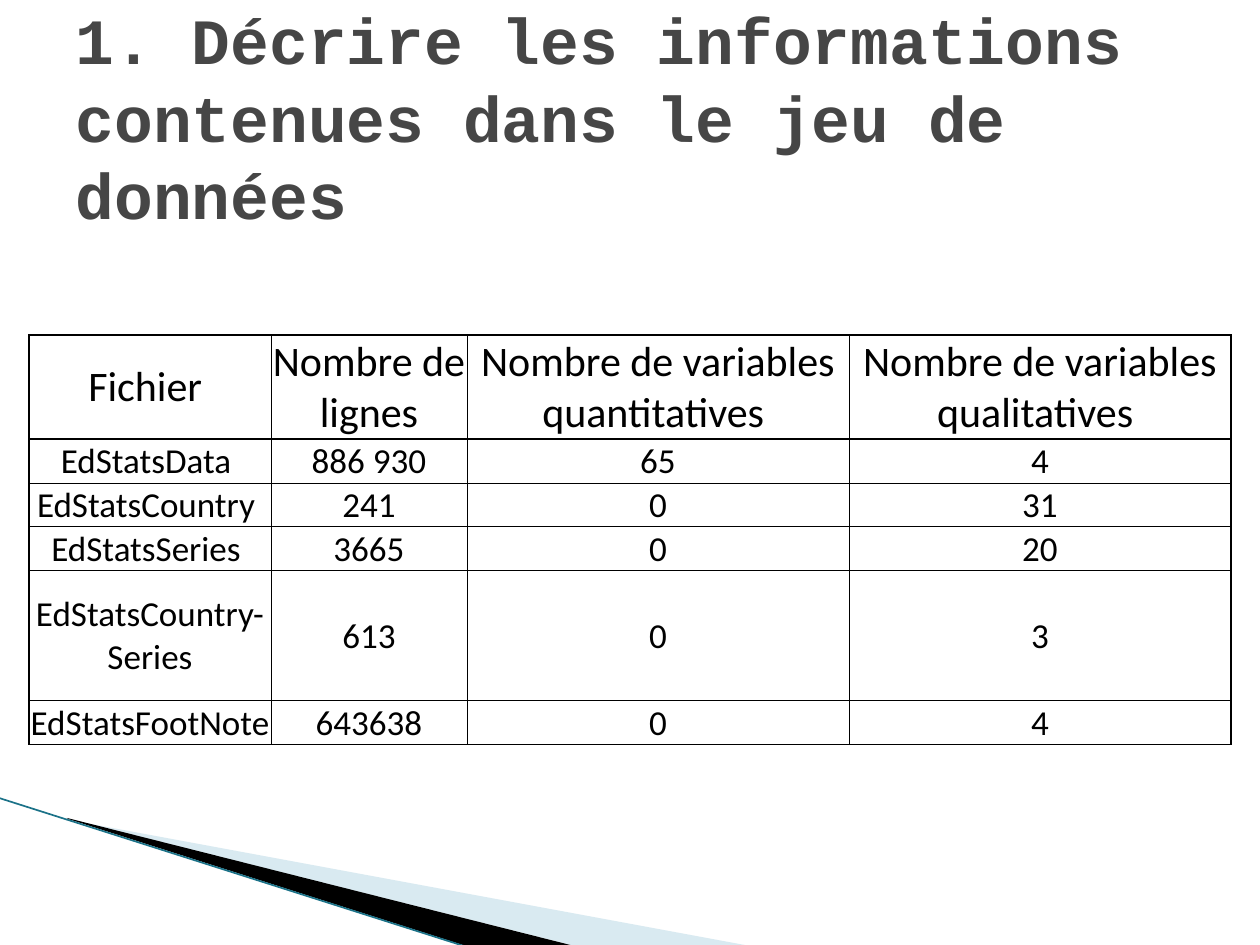
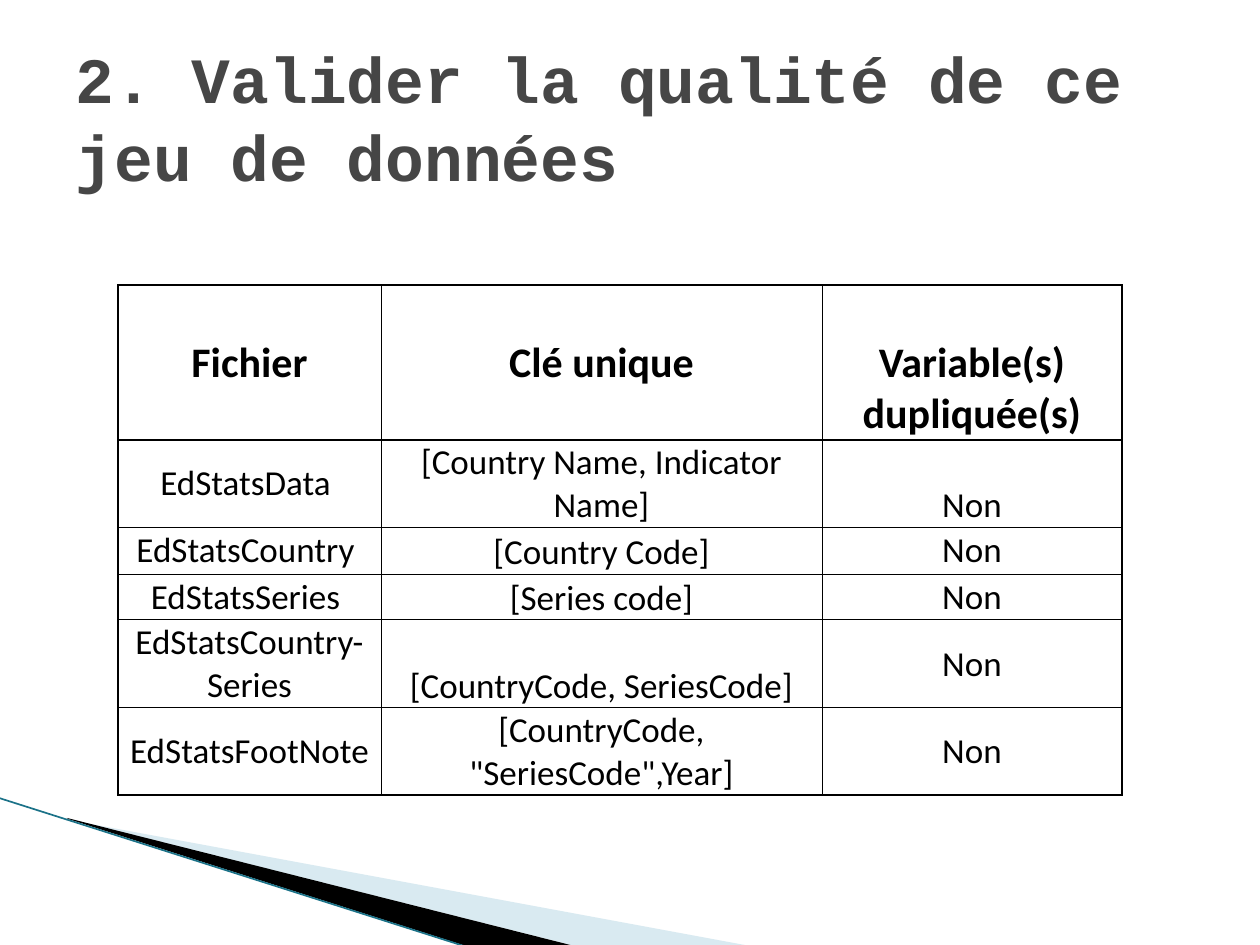
import dataclasses

import pptx
import pptx.dml.color
import pptx.enum.shapes
import pptx.enum.text
import pptx.oxml
import pptx.oxml.ns
import pptx.util

PX = 914400 / 126
SLIDE_SIZE = (1260, 945)
TITLE_BOX = (63, 38, 1134, 157)
MIDDLE = pptx.enum.text.MSO_ANCHOR.MIDDLE
BOTTOM = pptx.enum.text.MSO_ANCHOR.BOTTOM


@dataclasses.dataclass(frozen=True)
class Theme:
    title_font: str = "Courier New"
    table_font: str = "Calibri"
    title_size: float = 36.9
    header_size: int = 24
    entry_size: int = 20
    title_color: str = "464646"
    ink: str = "000000"
    pale_wedge: str = "A0CBDC"
    edge: str = "1B7288"
    edge_width: float = 0.95
    outer_rule: float = 1
    inner_rule: float = 0.5


THEME = Theme()


def px(length):
    return pptx.util.Emu(round(length * PX))


def rgb(value):
    return pptx.dml.color.RGBColor.from_string(value)


def add_run(paragraph, text, font, size, color, bold=False):
    run = paragraph.add_run()
    run.text = text
    run.font.name = font
    run.font.size = pptx.util.Pt(size)
    run.font.color.rgb = rgb(color)
    run.font.bold = bold


def set_frame(shape, points, box):
    """Give a freeform a frame of its own, while its outline stays in place."""
    left, top, width, height = box
    shift_x = min(x for x, _ in points) - left
    shift_y = min(y for _, y in points) - top
    outline = shape.element.find(".//" + pptx.oxml.ns.qn("a:path"))
    outline.set("w", str(width))
    outline.set("h", str(height))
    for point in outline.iter(pptx.oxml.ns.qn("a:pt")):
        point.set("x", str(int(point.get("x")) + shift_x))
        point.set("y", str(int(point.get("y")) + shift_y))
    shape.left, shape.top, shape.width, shape.height = map(px, box)


def add_wedge(slide, points, box, color, opacity=100):
    builder = slide.shapes.build_freeform(*points[0], scale=PX)
    builder.add_line_segments(points[1:], close=True)
    wedge = builder.convert_to_shape()
    set_frame(wedge, points, box)
    wedge.shadow.inherit = False
    wedge.line.fill.background()
    wedge.fill.solid()
    wedge.fill.fore_color.rgb = rgb(color)
    if opacity < 100:
        tint = wedge.element.find(".//" + pptx.oxml.ns.qn("a:srgbClr"))
        tint.append(pptx.oxml.parse_xml(
            f'<a:alpha {pptx.oxml.ns.nsdecls("a")} val="{opacity * 1000}"/>'))
    return wedge


def add_corner_band(slide, layout):
    """Draw the lower-left band and hand it to the layout, so every slide shows it."""
    pale = add_wedge(slide, [(69, 820), (750, 946), (575, 946), (69, 819)],
                     (98, 689, 524, 199), THEME.pale_wedge, 40)
    dark = add_wedge(slide, [(67, 818), (574, 946), (469, 947), (68, 819)],
                     (-8, 798, 524, 116), THEME.ink)
    edge = slide.shapes.add_connector(
        pptx.enum.shapes.MSO_CONNECTOR.STRAIGHT, px(-1), px(798), px(467), px(947))
    edge.line.color.rgb = rgb(THEME.edge)
    edge.line.width = pptx.util.Pt(THEME.edge_width)
    edge.element.spPr.append(pptx.oxml.parse_xml(
        f'<a:effectLst {pptx.oxml.ns.nsdecls("a")}/>'))
    for part in (pale, dark, edge):
        layout.shapes.element.append(part.element)


def fill_title(slide, text, box):
    title = slide.shapes.title
    title.left, title.top, title.width, title.height = map(px, box)
    frame = title.text_frame
    frame.word_wrap = True
    frame.auto_size = pptx.enum.text.MSO_AUTO_SIZE.NONE
    frame.vertical_anchor = MIDDLE
    heading = frame.paragraphs[0]
    heading.alignment = pptx.enum.text.PP_ALIGN.LEFT
    add_run(heading, text, THEME.title_font, THEME.title_size, THEME.title_color, True)


def rule_cell(cell, widths):
    """Set the left, right, top and bottom borders, in points."""
    properties = cell._tc.get_or_add_tcPr()
    for order, (side, width) in enumerate(zip("LRTB", widths)):
        properties.insert(order, pptx.oxml.parse_xml(
            f'<a:ln{side} {pptx.oxml.ns.nsdecls("a")} w="{pptx.util.Pt(width)}">'
            f'<a:solidFill><a:srgbClr val="{THEME.ink}"/></a:solidFill></a:ln{side}>'))


def add_file_table(slide, origin, columns, heights, entries,
                   bold_header=False, bottom_cells=()):
    frame = slide.shapes.add_table(len(heights), len(columns), *map(
        px, (*origin, sum(columns), sum(heights))))
    table = frame.table
    table.first_row = table.horz_banding = False
    for column, width in zip(table.columns, columns):
        column.width = px(width)
    last_row, last_column = len(heights) - 1, len(columns) - 1
    for r, (row, height) in enumerate(zip(table.rows, heights)):
        row.height = px(height)
        for c, cell in enumerate(row.cells):
            cell.fill.background()
            cell.margin_left = cell.margin_right = cell.margin_top = px(1)
            cell.margin_bottom = 0
            cell.vertical_anchor = BOTTOM if (r, c) in bottom_cells else MIDDLE
            entry = cell.text_frame.paragraphs[0]
            entry.alignment = pptx.enum.text.PP_ALIGN.CENTER
            add_run(entry, entries[r][c], THEME.table_font,
                    THEME.entry_size if r else THEME.header_size,
                    THEME.ink, bold_header and r == 0)
            strong = (c == 0, c == last_column, r <= 1, r in (0, last_row))
            rule_cell(cell, [THEME.outer_rule if side else THEME.inner_rule
                             for side in strong])


FILES = ["EdStatsData ", "EdStatsCountry ", "EdStatsSeries ",
         "EdStatsCountry-Series", "EdStatsFootNote"]
COUNTS = [("886 930", "65", "4"), ("241", "0", "31"), ("3665", "0", "20"),
          ("613", "0", "3"), ("643638", "0", "4")]
KEYS = ["[Country Name, Indicator Name]", "[Country Code]", "[Series code]",
        "[CountryCode, SeriesCode]", '[CountryCode, "SeriesCode",Year]']


def describe_files(slide):
    fill_title(slide, "1. Décrire les informations contenues dans le jeu de données",
               TITLE_BOX)
    header = ("Fichier ", "Nombre de lignes", "Nombre de variables quantitatives ",
              "Nombre de variables qualitatives ")
    add_file_table(slide, (29, 335), (242, 196, 382, 382), (104, 44, 44, 44, 130, 43),
                   [header] + [(name, *counts) for name, counts in zip(FILES, COUNTS)])


def validate_quality(slide):
    fill_title(slide, "2. Valider la qualité de ce jeu de données", TITLE_BOX)
    header = ("Fichier", "Clé unique", "Variable(s) dupliquée(s)")
    key_cells = {(row, 1) for row in range(1, len(KEYS) + 1)}
    add_file_table(slide, (118, 285), (263, 441, 300), (155, 87, 47, 46, 88, 87),
                   [header] + [(name, key, "Non") for name, key in zip(FILES, KEYS)],
                   bold_header=True, bottom_cells=key_cells | {(0, 2), (1, 2)})


def main():
    deck = pptx.Presentation()
    deck.slide_width, deck.slide_height = map(px, SLIDE_SIZE)
    layout = deck.slide_layouts[5]
    files_slide, quality_slide = (deck.slides.add_slide(layout) for _ in range(2))
    add_corner_band(files_slide, layout)
    describe_files(files_slide)
    validate_quality(quality_slide)
    deck.save("out.pptx")


if __name__ == "__main__":
    main()
